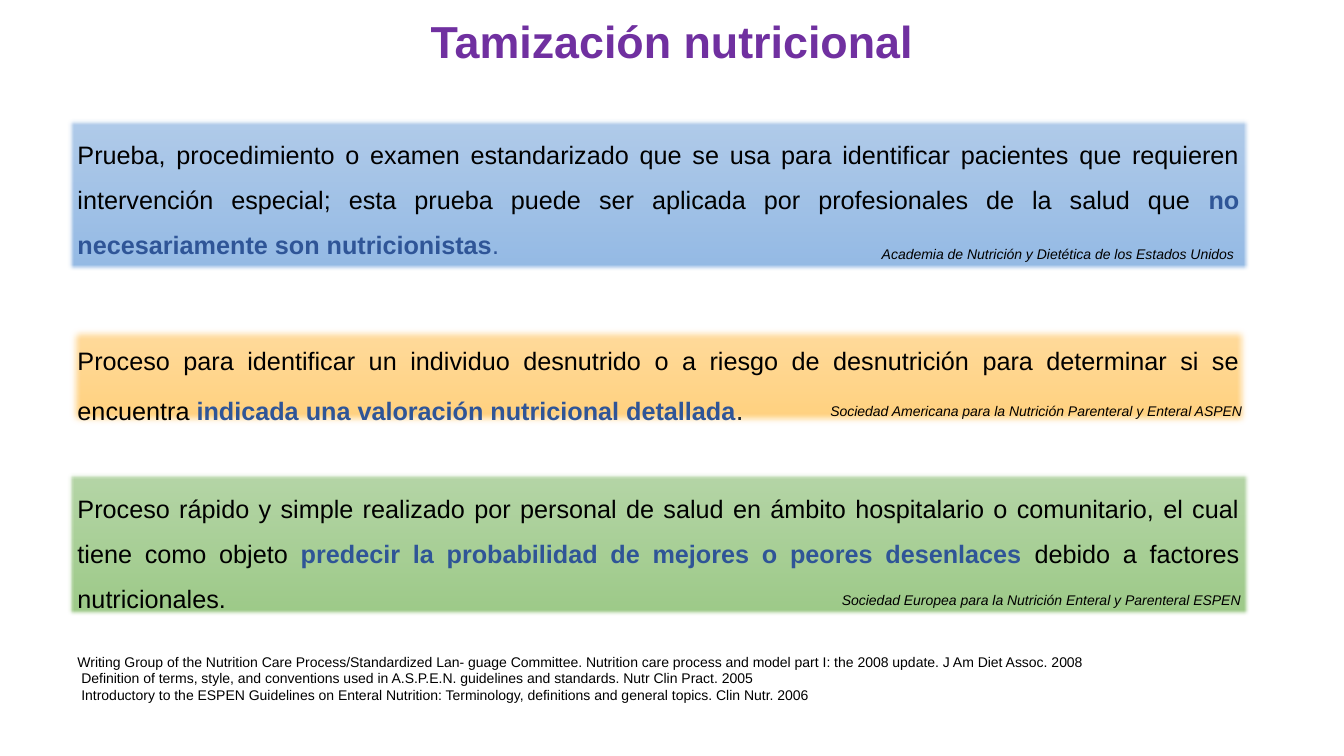
from lxml.etree import SubElement
from pptx import Presentation
from pptx.dml.color import RGBColor as Rgb
from pptx.enum.shapes import MSO_SHAPE as Preset
from pptx.enum.text import MSO_ANCHOR as Anchor, PP_ALIGN as Align
from pptx.oxml.ns import qn
from pptx.util import Inches, Pt

COLORS = {
    "title": "7030A0", "text": "000000", "accent": "2F5597", "stop": "222A35",
    "blue": ("B1CBE9", "93B9E4", "5B9BD5"),
    "orange": ("FFDB9E", "FFD07C", "FFC000"),
    "green": ("B5D5A7", "9CC987", "70AD47"),
}
PANEL_LEFT, PANEL_WIDTH = 0.67, 11.72


class DefinitionSlide:
    font = "Arial"

    def __init__(self, deck):
        self.page = deck.slides.add_slide(deck.slide_layouts[6])

    def add_span(self, para, text, size, color="text", bold=False, italic=False):
        span = para.add_run()
        span.text = text
        span.font.name = self.font
        span.font.size = Pt(size)
        span.font.bold = bold
        span.font.italic = italic
        span.font.color.rgb = Rgb.from_string(COLORS[color])

    def text_box(self, left, top, width, height, lines, size, align=Align.LEFT,
                 anchor=Anchor.TOP, spacing=None, **style):
        box = self.page.shapes.add_textbox(
            Inches(left), Inches(top), Inches(width), Inches(height))
        frame = box.text_frame
        frame.word_wrap = True
        frame.vertical_anchor = anchor
        for index, line in enumerate(lines):
            para = frame.add_paragraph() if index else frame.paragraphs[0]
            para.alignment = align
            para.line_spacing = spacing
            self.add_span(para, line, size, **style)

    def panel(self, top, height, palette, soft_edge, spans):
        """Draw a soft-edged gradient panel holding one justified definition."""
        box = self.page.shapes.add_shape(
            Preset.RECTANGLE, Inches(PANEL_LEFT), Inches(top),
            Inches(PANEL_WIDTH), Inches(height))
        *shades, outline = COLORS[palette]
        box.fill.gradient()
        box.fill.gradient_angle = 270
        for stop, shade in zip(box.fill.gradient_stops, shades):
            stop.color.rgb = Rgb.from_string(shade)
        box.line.color.rgb = Rgb.from_string(outline)
        box.line.width = Pt(0.5)
        box.shadow.inherit = False
        effects = box.element.spPr.find(qn("a:effectLst"))
        SubElement(effects, qn("a:softEdge"), rad=str(Pt(soft_edge)))
        frame = box.text_frame
        frame.word_wrap = True
        frame.vertical_anchor = Anchor.TOP
        para = frame.paragraphs[0]
        para.alignment = Align.JUSTIFY
        para.line_spacing = 1.5
        for text, size, color, bold in spans:
            self.add_span(para, text, size, color, bold)

    def credit(self, left, top, width, society, align=Align.CENTER):
        self.text_box(left, top, width, 0.27, [society], 10, align, italic=True)


def main():
    deck = Presentation()
    deck.slide_width, deck.slide_height = Inches(13.33), Inches(7.5)
    slide = DefinitionSlide(deck)
    slide.text_box(0, 0.02, 13.33, 0.83, ["Tamización nutricional"], 32,
                   Align.CENTER, Anchor.MIDDLE, 0.9, color="title", bold=True)

    slide.panel(1.18, 1.5, "blue", 2.5, [
        ("Prueba, procedimiento o examen estandarizado que se usa para identificar "
         "pacientes que requieren intervención especial; esta prueba puede ser "
         "aplicada por profesionales de la salud que ", 18, "text", False),
        ("no necesariamente son nutricionistas", 18, "accent", True),
        (".", 18, "accent", False)])
    slide.panel(3.23, 1, "orange", 5, [
        ("Proceso para identificar un individuo desnutrido o a riesgo de "
         "desnutrición para determinar si se encuentra ", 18, "text", False),
        ("indicada una valoración nutricional detallada", 18, "accent", True),
        (".", 20, "stop", False)])
    slide.panel(4.69, 1.41, "green", 2.5, [
        ("Proceso rápido y simple realizado por personal de salud en ámbito "
         "hospitalario o comunitario, el cual tiene como objeto ", 18, "text", False),
        ("predecir la probabilidad de mejores o peores desenlaces ",
         18, "accent", True),
        ("debido a factores nutricionales.", 18, "text", False)])

    slide.credit(7.69, 2.39, 5.64,
                 "Academia de Nutrición y Dietética de los Estados Unidos ")
    slide.credit(7.22, 3.94, 6.11,
                 "Sociedad Americana para la Nutrición Parenteral y Enteral ASPEN")
    slide.credit(5.82, 5.82, 6.58,
                 "Sociedad Europea para la Nutrición Enteral y Parenteral ESPEN",
                 Align.RIGHT)

    slide.text_box(PANEL_LEFT, 6.43, 13.33, 0.61, [
        "Writing Group of the Nutrition Care Process/Standardized Lan- guage "
        "Committee. Nutrition care process and model part I: the 2008 update. "
        "J Am Diet Assoc. 2008",
        " Definition of terms, style, and conventions used in A.S.P.E.N. "
        "guidelines and standards. Nutr Clin Pract. 2005",
        " Introductory to the ESPEN Guidelines on Enteral Nutrition: "
        "Terminology, definitions and general topics. Clin Nutr. 2006"], 10)
    deck.save("out.pptx")


if __name__ == "__main__":
    main()
